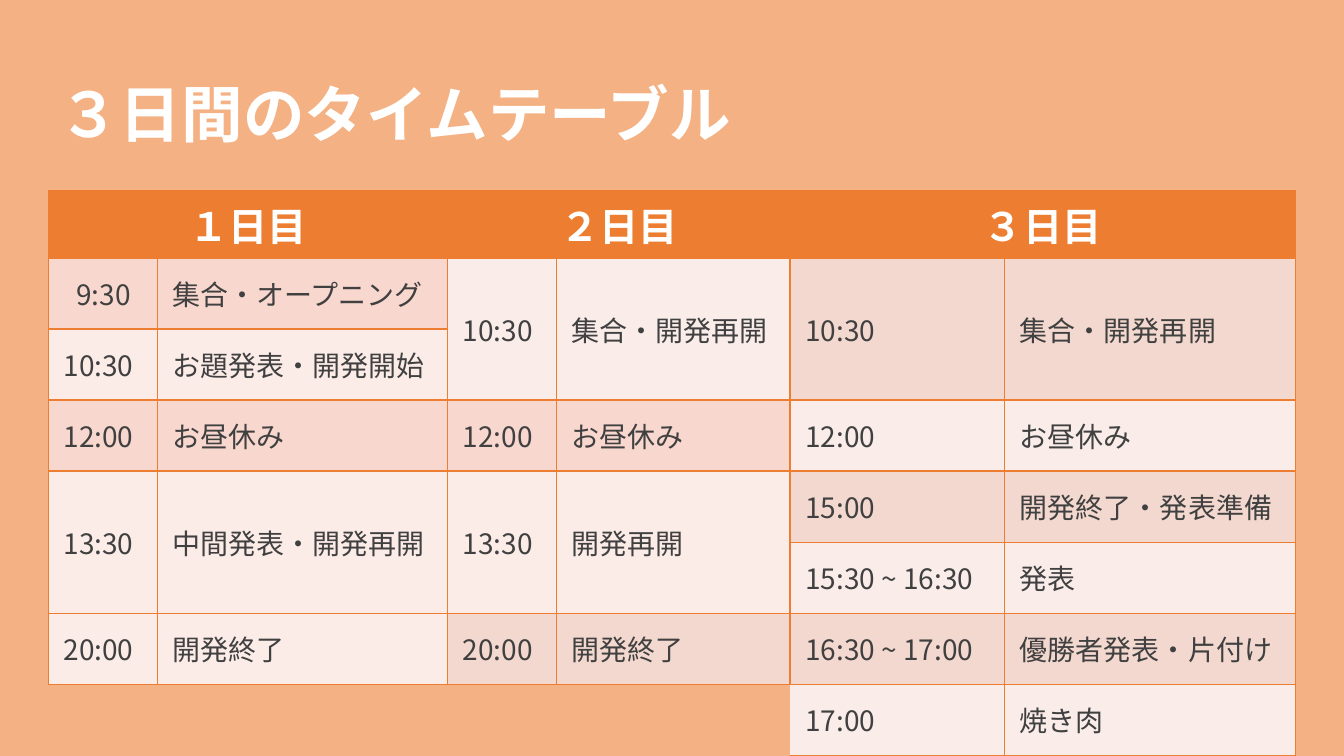
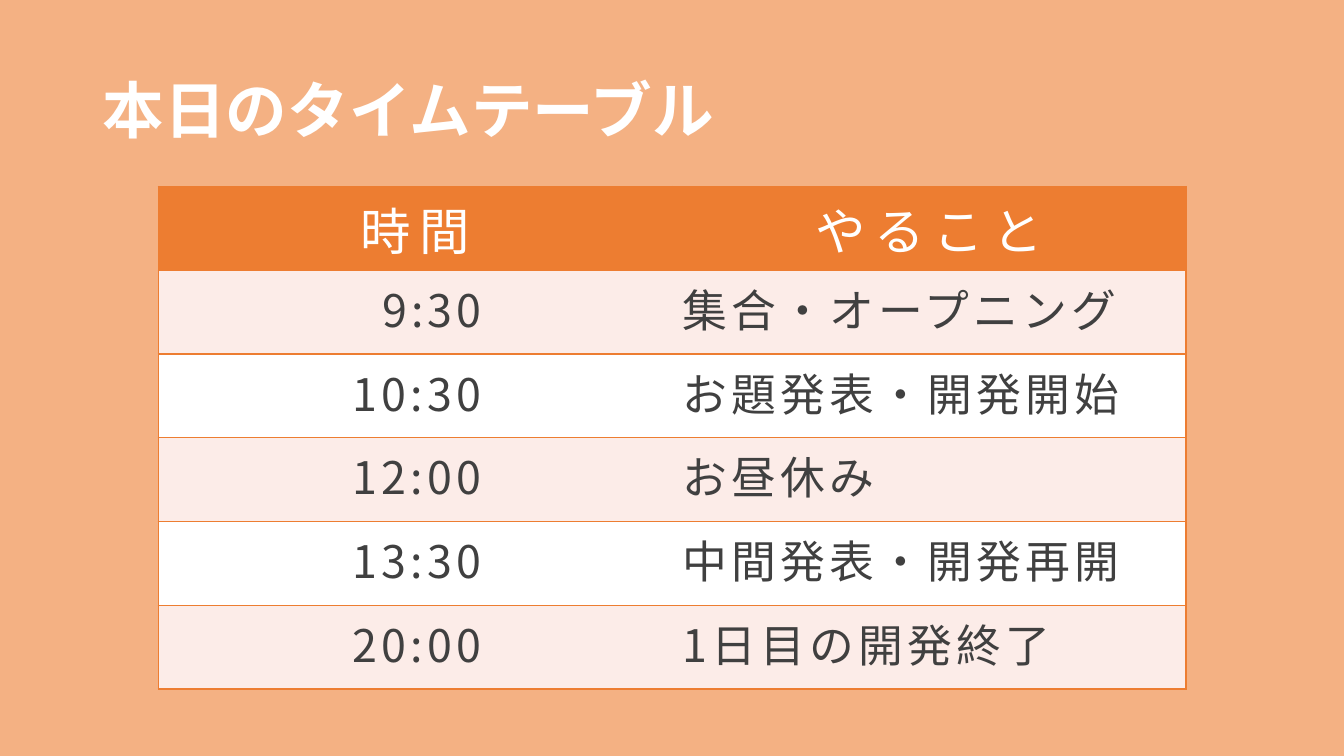
from lxml import etree
from pptx import Presentation
from pptx.dml.color import RGBColor
from pptx.enum.text import MSO_ANCHOR, PP_ALIGN
from pptx.oxml.ns import qn
from pptx.util import Cm, Pt

LEFT, MID, RIGHT = PP_ALIGN.LEFT, PP_ALIGN.CENTER, PP_ALIGN.RIGHT
TOP, MIDDLE = MSO_ANCHOR.TOP, MSO_ANCHOR.MIDDLE

FONT = "Noto Sans CJK JP"
PLAIN = "{2D5ABB26-0587-4C30-8999-92F81FD0307C}"
PEACH = RGBColor(0xF4, 0xB1, 0x83)
ORANGE = RGBColor(0xED, 0x7D, 0x31)
WHITE = RGBColor(0xFF, 0xFF, 0xFF)
GREY = RGBColor(0x40, 0x40, 0x40)
ROSE = RGBColor(0xF8, 0xD7, 0xCE)
BLUSH = RGBColor(0xFC, 0xEC, 0xE8)
CLAY = RGBColor(0xF3, 0xD8, 0xCF)
SHELL = RGBColor(0xF9, 0xEC, 0xE9)

# Each day: heading, then (rows taken, time, task, fill) from the top down
DAYS = [
    ("１日目", [
        (1, "9:30", "集合・オープニング", ROSE),
        (1, "10:30", "お題発表・開発開始", BLUSH),
        (1, "12:00", "お昼休み", ROSE),
        (2, "13:30", "中間発表・開発再開", BLUSH),
        (1, "20:00", "開発終了", BLUSH),
    ]),
    ("２日目", [
        (2, "10:30", "集合・開発再開", SHELL),
        (1, "12:00", "お昼休み", ROSE),
        (2, "13:30", "開発再開", BLUSH),
        (1, "20:00", "開発終了", CLAY),
    ]),
    ("３日目", [
        (2, "10:30", "集合・開発再開", CLAY),
        (1, "12:00", "お昼休み", SHELL),
        (1, "15:00", "開発終了・発表準備", CLAY),
        (1, "15:30 ~ 16:30", "発表", SHELL),
        (1, "16:30 ~ 17:00", "優勝者発表・片付け", CLAY),
        (1, "17:00", "焼き肉", SHELL),
    ]),
]
DAY_COLS = [2.74, 7.32, 2.74, 5.89, 5.41, 7.32]
DAY_ROWS = [1.7] + [1.79] * 7
PAD = 0.38
SHORT_PAD = 0.7

HEADS = ("時間", "やること")
TODAY = [
    ("9:30", "集合・オープニング"),
    ("10:30", "お題発表・開発開始"),
    ("12:00", "お昼休み"),
    ("13:30", "中間発表・開発再開"),
    ("20:00", "1日目の開発終了"),
]
TODAY_COLS = [12.95] * 2
TODAY_ROWS = [2.11] * (len(TODAY) + 1)
TIME_GAP = 4.8


def write(frame, text, size, color, bold=False, align=LEFT, space=0):
    """Put one styled line of text in a frame."""
    para = frame.paragraphs[0]
    para.text = text
    para.alignment = align
    run = para.runs[0]
    font = run.font
    font.size, font.bold, font.name = Pt(size), bold, FONT
    font.color.rgb = color
    props = run._r.get_or_add_rPr()
    etree.SubElement(props, qn("a:ea"), typeface=FONT)
    if space:
        props.set("spc", str(space * 100))
    return para


def add_page(deck, title, left, top):
    """Add a blank slide with its title."""
    page = deck.slides.add_slide(deck.slide_layouts[6])
    box = page.shapes.add_textbox(Cm(left), Cm(top), Cm(29.21), Cm(3.68))
    frame = box.text_frame
    frame.word_wrap = True
    frame.vertical_anchor = MIDDLE
    write(frame, title, 44, WHITE, True).line_spacing = 0.9
    return page


def add_grid(page, left, top, cols, rows):
    """Add a table without style, sized by its columns and rows."""
    frame = page.shapes.add_table(len(rows), len(cols), Cm(left), Cm(top),
                                  Cm(sum(cols)), Cm(sum(rows)))
    grid = frame.table
    grid.first_row = grid.horz_banding = False
    frame._element.find(".//" + qn("a:tableStyleId")).text = PLAIN
    for parts, sizes, side in ((grid.columns, cols, "width"),
                               (grid.rows, rows, "height")):
        for part, size in zip(parts, sizes):
            setattr(part, side, Cm(size))
    return grid


def paint(cell, fill, sides="LRTB"):
    """Draw the cell borders, then fill the cell."""
    props = cell._tc.get_or_add_tcPr()
    for side in sides:
        line = etree.SubElement(props, qn("a:ln" + side), w=str(Pt(1)))
        solid = etree.SubElement(line, qn("a:solidFill"))
        etree.SubElement(solid, qn("a:srgbClr"), val=str(ORANGE))
    cell.fill.solid()
    cell.fill.fore_color.rgb = fill


def block(grid, row, col, high, wide, fill, sides="LRTB"):
    """Paint a block of cells, merge it and return its first cell."""
    for r in range(row, row + high):
        for c in range(col, col + wide):
            paint(grid.cell(r, c), fill, sides)
    first = grid.cell(row, col)
    if high * wide > 1:
        first.merge(grid.cell(row + high - 1, col + wide - 1))
    first.vertical_anchor = MIDDLE
    return first


def add_day(grid, col, head, plan):
    """Fill the two columns of one day."""
    cell = block(grid, 0, col, 1, 2, ORANGE)
    write(cell.text_frame, head, 28, WHITE, True, MID)
    row, last = 1, len(DAY_ROWS) - 1
    for high, time, task, fill in plan:
        end = row + high
        for part, text in enumerate((time, task)):
            sides = "LRTB"
            if end == last and (time, task) == plan[-1][1:3]:
                sides = "LRT"
            elif row == last and part == 0:
                sides = "RTB"
            cell = block(grid, row, col + part, high, 1, fill, sides)
            cell.margin_right = cell.margin_top = cell.margin_bottom = Cm(PAD)
            short = part == 0 and len(text) < 5
            cell.margin_left = Cm(SHORT_PAD if short else PAD)
            write(cell.text_frame, text, 20, GREY)
        row = end


def add_today(grid):
    """Fill the heading row and the striped rows of today."""
    for col, head in enumerate(HEADS):
        cell = grid.cell(0, col)
        paint(cell, ORANGE)
        write(cell.text_frame, head, 36, WHITE, align=MID, space=6)
    for row, pair in enumerate(TODAY, 1):
        for col, text in enumerate(pair):
            cell = grid.cell(row, col)
            paint(cell, BLUSH if row % 2 else WHITE, ("LTB", "RTB")[col])
            cell.vertical_anchor = TOP
            if col == 0:
                cell.margin_right = Cm(TIME_GAP)
            write(cell.text_frame, text, 32, GREY,
                  align=(RIGHT, LEFT)[col], space=3)


deck = Presentation()
deck.slide_width, deck.slide_height = Cm(33.87), Cm(19.05)
back = deck.slide_master.background.fill
back.solid()
back.fore_color.rgb = PEACH

page = add_page(deck, "３日間のタイムテーブル", 1.22, 1.12)
grid = add_grid(page, 1.22, 4.8, DAY_COLS, DAY_ROWS)
for num, (head, plan) in enumerate(DAYS):
    add_day(grid, num * 2, head, plan)

page = add_page(deck, "本日のタイムテーブル", 2.34, 1.02)
add_today(add_grid(page, 3.99, 4.7, TODAY_COLS, TODAY_ROWS))

deck.save("out.pptx")
